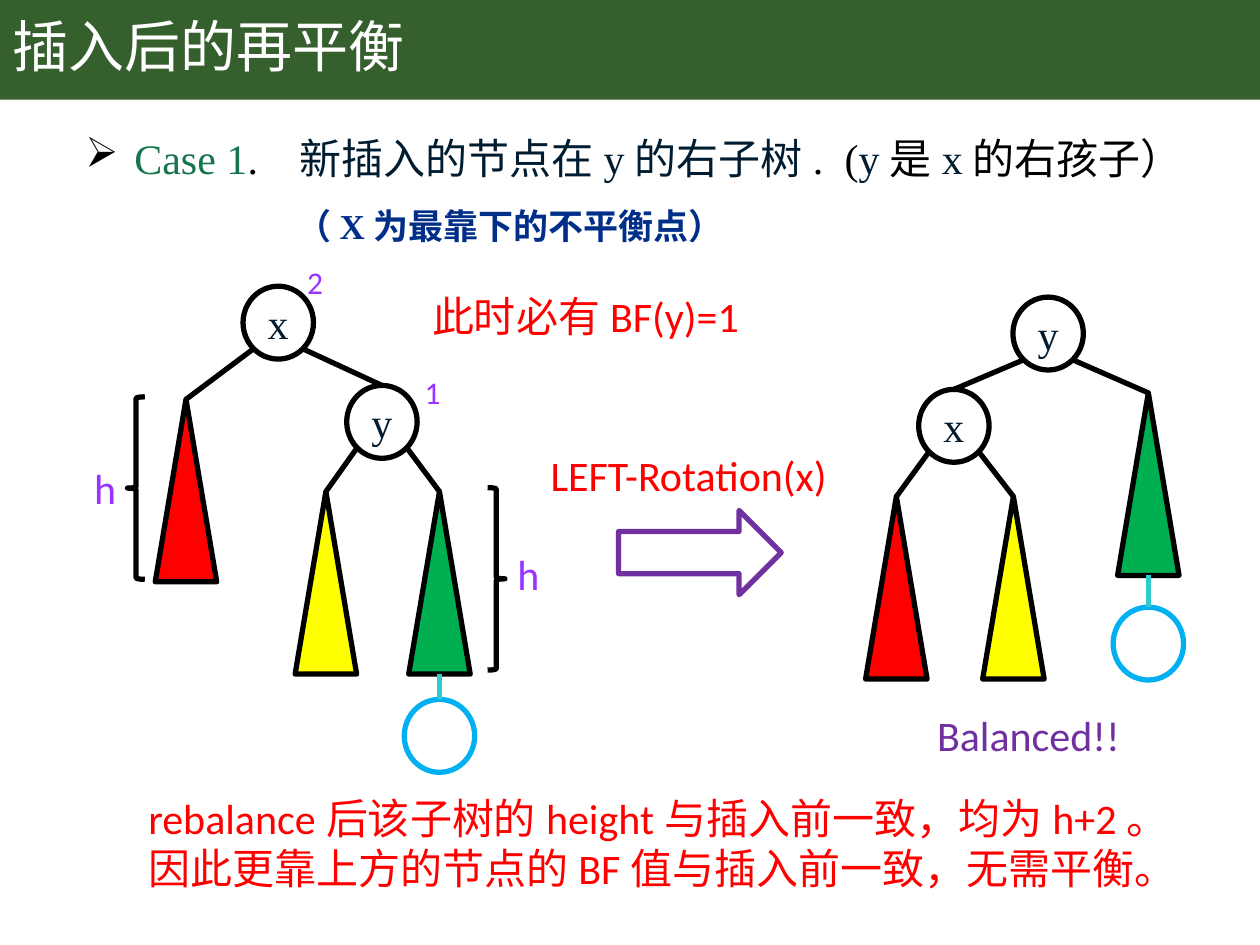
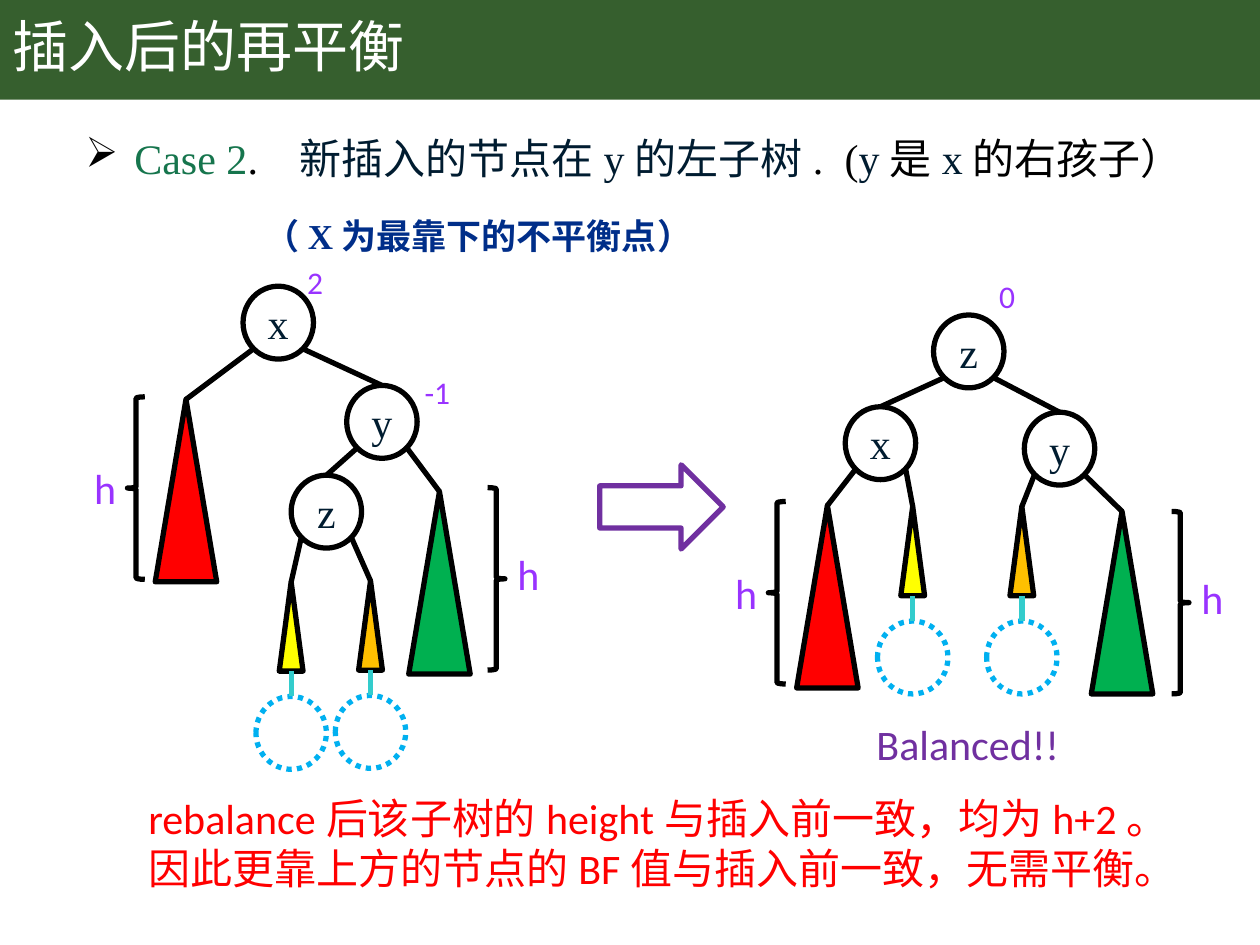
import dataclasses
import typing

import lxml.etree
import pptx
import pptx.dml.color
import pptx.enum.dml
import pptx.enum.shapes
import pptx.enum.text
import pptx.oxml.ns
import pptx.util

Cm = pptx.util.Cm
Pt = pptx.util.Pt
SHAPE = pptx.enum.shapes.MSO_SHAPE
ANCHOR = pptx.enum.text.MSO_ANCHOR
ALIGN = pptx.enum.text.PP_ALIGN
qn = pptx.oxml.ns.qn


@dataclasses.dataclass(frozen=True)
class Theme:
    band: str = "365F2E"
    white: str = "FFFFFF"
    black: str = "000000"
    ink: str = "001C30"
    case: str = "16754D"
    remark: str = "002E89"
    measure: str = "9933FF"
    purple: str = "7030A0"
    red: str = "FF0000"
    yellow: str = "FFFF00"
    green: str = "00B050"
    orange: str = "FFC000"
    inserted: str = "00B0F0"
    stem: str = "33CCCC"
    sans: str = "Calibri"
    serif: str = "Times New Roman"
    title_size: int = 32
    text_size: int = 24
    remark_size: int = 20
    badge_size: int = 18
    line_width: int = 3


THEME = Theme()
NODE_WIDTH, NODE_HEIGHT = 1.42, 1.47
BRANCH_SIDE, BRANCH_DROP = 0.51, 1.27
TALL, SHORT = (1.24, 3.68), (0.48, 1.8)
BRACE_WIDTH, BRACE_HEIGHT = 0.35, 3.68


@dataclasses.dataclass(frozen=True)
class Subtree:
    x: float
    top: float
    color: str
    size: tuple = TALL
    stem: float = 0
    dotted: bool = False


@dataclasses.dataclass(frozen=True)
class Node:
    key: str
    x: float
    top: float
    left: typing.Any
    right: typing.Any


def rgb(color):
    return pptx.dml.color.RGBColor.from_string(color)


def style_font(font, size, color=None, name=THEME.sans, bold=None):
    font.size = Pt(size)
    font.name = name
    font.bold = bold
    if color:
        font.color.rgb = rgb(color)


def add_outline(page, kind, left, top, width, height, line=None, fill=None):
    shape = page.shapes.add_shape(kind, Cm(left), Cm(top), Cm(width), Cm(height))
    shape.shadow.inherit = False
    if fill:
        shape.fill.solid()
        shape.fill.fore_color.rgb = rgb(fill)
    else:
        shape.fill.background()
    if line:
        shape.line.color.rgb = rgb(line)
        shape.line.width = Pt(THEME.line_width)
    else:
        shape.line.fill.background()
    return shape


def add_line(page, start, end, color=THEME.black):
    line = page.shapes.add_connector(
        pptx.enum.shapes.MSO_CONNECTOR.STRAIGHT, *map(Cm, start + end))
    line.line.color.rgb = rgb(color)
    line.line.width = Pt(THEME.line_width)
    lxml.etree.SubElement(line._element.spPr, qn("a:effectLst"))


def add_text(page, left, top, width, height, lines, color,
             size=THEME.text_size, wrap=True):
    box = page.shapes.add_textbox(Cm(left), Cm(top), Cm(width), Cm(height))
    frame = box.text_frame
    frame.word_wrap = wrap
    frame.text = lines
    for para in frame.paragraphs:
        style_font(para.font, size, color)
    return frame


def add_title(page, title):
    add_outline(page, SHAPE.RECTANGLE, 0, 0, 25.4, 2.01, fill=THEME.band)
    frame = add_text(page, 0, 0, 21.89, 2.01, title, THEME.white, THEME.title_size)
    frame.vertical_anchor = ANCHOR.MIDDLE
    frame.paragraphs[0].line_spacing = 0.9


def add_spans(para, spans):
    for words, color in spans:
        span = para.add_run()
        span.text = words
        span.font.color.rgb = rgb(color)


def add_bullet_and_tabs(para, mark, stops):
    properties = para._p.get_or_add_pPr()
    properties.set("marL", str(Cm(1.9)))
    properties.set("indent", str(Cm(-0.99)))
    bullet_color = lxml.etree.SubElement(properties, qn("a:buClr"))
    lxml.etree.SubElement(bullet_color, qn("a:srgbClr"), val=THEME.black)
    lxml.etree.SubElement(properties, qn("a:buChar"), char=mark)
    tabs = lxml.etree.SubElement(properties, qn("a:tabLst"))
    for stop in stops:
        lxml.etree.SubElement(tabs, qn("a:tab"), pos=str(Cm(stop)), algn="l")


def add_case(page, number, side, remark_indent, remark_gap):
    box = page.shapes.add_textbox(Cm(0.56), Cm(2.24), Cm(24.31), Cm(3.2))
    frame = box.text_frame
    frame.word_wrap = True
    case = frame.paragraphs[0]
    add_bullet_and_tabs(case, "➢", (5.23, 16.22))
    style_font(case.font, THEME.text_size, name=THEME.serif)
    add_spans(case, (
        (f"Case {number}", THEME.case), (".\t", THEME.black),
        (f"新插入的节点在y的{side}子树", THEME.ink), (".\t(", THEME.black),
        ("y", THEME.ink), ("是", THEME.black),
        ("x", THEME.ink), ("的右孩子）", THEME.black)))
    remark = frame.add_paragraph()
    remark.text = "（X为最靠下的不平衡点）"
    remark._p.get_or_add_pPr().set("marL", str(Cm(remark_indent)))
    remark.space_before = Pt(remark_gap)
    style_font(remark.font, THEME.remark_size, THEME.remark, THEME.serif, True)
    for para in (case, remark):
        para.line_spacing = 1.3


def add_circle(page, x, top, color):
    return add_outline(page, SHAPE.OVAL, x - NODE_WIDTH / 2, top,
                       NODE_WIDTH, NODE_HEIGHT, color)


def add_subtree(page, subtree):
    width, height = subtree.size
    add_outline(page, SHAPE.ISOSCELES_TRIANGLE, subtree.x - width / 2, subtree.top,
                width, height, THEME.black, subtree.color)
    if subtree.stem:
        bottom = subtree.top + height
        tip = bottom + subtree.stem
        circle = add_circle(page, subtree.x, tip, THEME.inserted)
        if subtree.dotted:
            circle.line.dash_style = pptx.enum.dml.MSO_LINE.ROUND_DOT
        add_line(page, (subtree.x, tip), (subtree.x, bottom), THEME.stem)


def add_tree(page, tree):
    if isinstance(tree, Subtree):
        add_subtree(page, tree)
        return
    frame = add_circle(page, tree.x, tree.top, THEME.black).text_frame
    frame.margin_left = frame.margin_right = 0
    frame.margin_top = frame.margin_bottom = 0
    frame.vertical_anchor = ANCHOR.MIDDLE
    frame.text = tree.key
    para = frame.paragraphs[0]
    para.alignment = ALIGN.CENTER
    style_font(para.font, THEME.text_size, THEME.ink, THEME.serif)
    for child, side in ((tree.left, -BRANCH_SIDE), (tree.right, BRANCH_SIDE)):
        add_tree(page, child)
        add_line(page, (tree.x + side, tree.top + BRANCH_DROP), (child.x, child.top))


def add_badge(page, left, top, balance):
    add_text(page, left, top, 1.12, 1.02, balance, THEME.measure, THEME.badge_size)


def add_height(page, kind, left, top):
    add_outline(page, kind, left, top, BRACE_WIDTH, BRACE_HEIGHT, THEME.black)
    shift, drop = (-0.92, 1.2) if kind == SHAPE.LEFT_BRACE else (BRACE_WIDTH, 1.1)
    add_text(page, left + shift, top + drop, 1.12, 1.27, "h", THEME.measure)


def add_unbalanced(page, y_left, y_balance, green):
    y_node = Node("y", 7.7, 7.77, y_left, green)
    add_tree(page, Node("x", 5.61, 5.77, Subtree(3.75, 8.05, THEME.red), y_node))
    add_badge(page, 5.94, 5.18, "2")
    add_badge(page, 8.31, 7.39, y_balance)
    add_height(page, SHAPE.LEFT_BRACE, 2.57, 8)
    add_height(page, SHAPE.RIGHT_BRACE, 9.83, 9.83)


def add_rotation(page, left, top, width):
    add_outline(page, SHAPE.RIGHT_ARROW, left, top, width, 1.7, THEME.purple)


def add_balanced(page, left, top):
    add_text(page, left, top, 5.23, 1.27, "Balanced!!", THEME.purple)


def add_page(deck):
    page = deck.slides.add_slide(deck.slide_layouts[6])
    add_title(page, "插入后的再平衡")
    add_text(page, 2.74, 15.85, 21.26, 2.31,
             "rebalance后该子树的height与插入前一致，均为h+2。\n"
             "因此更靠上方的节点的BF值与插入前一致，无需平衡。",
             THEME.red, wrap=False)
    return page


def build_single_rotation(deck):
    page = add_page(deck)
    add_case(page, 1, "右", 5.16, 5)
    add_unbalanced(page, Subtree(6.57, 9.91, THEME.yellow), "1",
                   Subtree(8.86, 9.91, THEME.green, stem=0.51))
    add_tree(page, Node(
        "y", 21.13, 5.99,
        Node("x", 19.23, 7.85, Subtree(18.07, 10.01, THEME.red),
             Subtree(20.43, 10.01, THEME.yellow)),
        Subtree(23.15, 7.92, THEME.green, stem=0.64)))
    add_balanced(page, 18.64, 14.17)
    add_rotation(page, 12.47, 10.29, 3.28)
    add_text(page, 8.46, 5.74, 6.99, 1.27, "此时必有BF(y)=1", THEME.red, wrap=False)
    add_text(page, 10.85, 8.94, 6.15, 1.27, "LEFT-Rotation(x)", THEME.red, wrap=False)


def build_double_rotation(deck):
    page = add_page(deck)
    add_case(page, 2, "左", 4.52, 11)

    def short_subtree(x, top, color):
        return Subtree(x, top, color, SHORT, 0.51, True)

    z_node = Node("z", 6.58, 9.58, short_subtree(5.87, 11.73, THEME.yellow),
                  short_subtree(7.47, 11.71, THEME.orange))
    add_unbalanced(page, z_node, "-1", Subtree(8.86, 9.91, THEME.green))
    add_rotation(page, 12.09, 9.37, 2.49)
    add_tree(page, Node(
        "z", 19.53, 6.35,
        Node("x", 17.75, 8.2, Subtree(16.68, 10.19, THEME.red),
             short_subtree(18.4, 10.21, THEME.yellow)),
        Node("y", 21.36, 8.31, short_subtree(20.6, 10.21, THEME.orange),
             Subtree(22.62, 10.31, THEME.green))))
    add_badge(page, 19.89, 5.46, "0")
    add_height(page, SHAPE.LEFT_BRACE, 15.49, 10.11)
    add_height(page, SHAPE.RIGHT_BRACE, 23.62, 10.31)
    add_balanced(page, 17.42, 14.35)


def main():
    deck = pptx.Presentation()
    deck.slide_width, deck.slide_height = Cm(25.4), Cm(19.05)
    build_single_rotation(deck)
    build_double_rotation(deck)
    deck.save("out.pptx")


if __name__ == "__main__":
    main()
